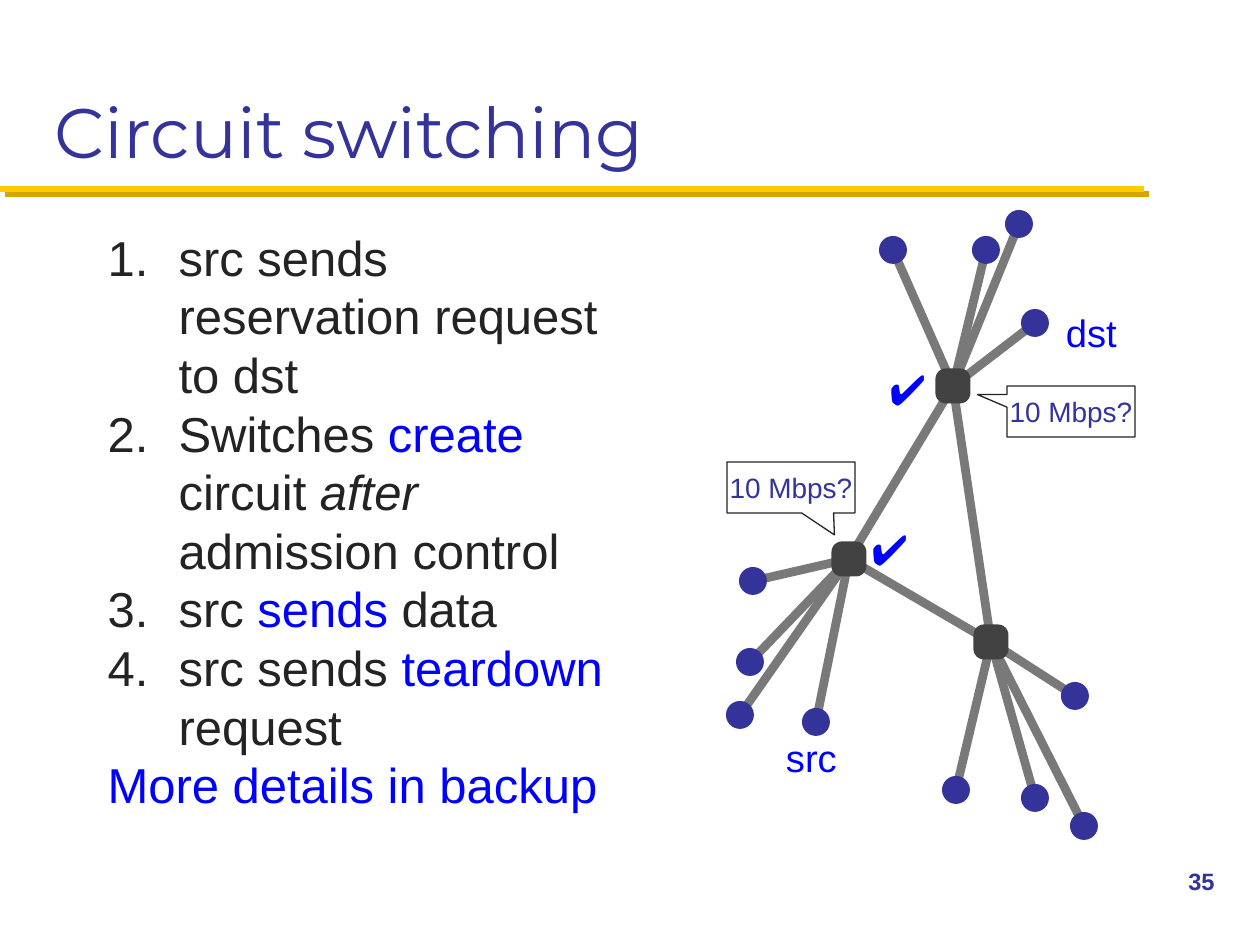
import pptx
import pptx.dml.color
import pptx.enum.shapes
import pptx.enum.text
import pptx.oxml
import pptx.oxml.ns
import pptx.util

EMU_PER_PX = 914400 / 126
COLORS = {
    "navy": "333399", "blue": "0000FF", "ink": "232323", "gold": "FFCB05",
    "dark_gold": "D3A600", "link": "797979", "switch": "424242",
}
SHAPES = pptx.enum.shapes.MSO_SHAPE
ANCHORS = pptx.enum.text.MSO_ANCHOR
FITS = pptx.enum.text.MSO_AUTO_SIZE
ALIGNS = pptx.enum.text.PP_ALIGN

SWITCHES = {"top": (953, 386), "left": (849, 559), "right": (991, 642)}
HOSTS = {
    "top": [(893, 250), (986, 250), (1019, 224), (1035, 323)],
    "left": [(753, 581), (750, 662), (740, 715), (816, 722)],
    "right": [(956, 790), (1035, 798), (1084, 826), (1075, 696)],
}
TRUNKS = [("left", "top"), ("left", "right"), ("top", "right")]
STEPS = [
    [("src sends reservation request to dst", {})],
    [("Switches ", {}), ("create", {"color": "blue"}), (" circuit ", {}),
     ("after", {"italic": True}), (" admission control", {})],
    [("src ", {}), ("sends", {"color": "blue"}), (" data", {})],
    [("src sends ", {}), ("teardown", {"color": "blue"}), (" request", {})],
]


def px(length):
    """Turn pixels into EMU."""
    return pptx.util.Emu(round(length * EMU_PER_PX))


def rgb(name):
    """Look up a named colour."""
    return pptx.dml.color.RGBColor.from_string(COLORS[name])


def add_span(para, text, size=28, color="ink", font="Arial", bold=False, italic=False):
    """Append formatted text to a paragraph."""
    span = para.add_run()
    span.text = text
    span.font.name = font
    span.font.size = pptx.util.Pt(size)
    span.font.bold = bold
    span.font.italic = italic
    span.font.color.rgb = rgb(color)


def set_bounds(shape, left, top, width, height):
    """Place a shape by its pixel bounds."""
    shape.left, shape.top = px(left), px(top)
    shape.width, shape.height = px(width), px(height)


def add_line(page, start, end, color, width, shadow=None):
    """Draw a straight line, optionally with a hard diagonal shadow."""
    line = page.shapes.add_connector(
        pptx.enum.shapes.MSO_CONNECTOR.STRAIGHT, *map(px, start + end))
    line.line.color.rgb = rgb(color)
    line.line.width = pptx.util.Pt(width)
    effects = pptx.oxml.parse_xml(f'<a:effectLst {pptx.oxml.ns.nsdecls("a")}/>')
    if shadow:
        effects.append(pptx.oxml.parse_xml(
            f'<a:outerShdw {pptx.oxml.ns.nsdecls("a")} dist="53340" dir="2700000" '
            f'algn="ctr" rotWithShape="0"><a:srgbClr val="{COLORS[shadow]}"/></a:outerShdw>'))
    line.element.spPr.append(effects)


def add_node(page, kind, center, size, color):
    """Draw a filled network node around its centre."""
    x, y = center
    node = page.shapes.add_shape(
        kind, px(x - size / 2), px(y - size / 2), px(size), px(size))
    node.shadow.inherit = False
    node.fill.solid()
    node.fill.fore_color.rgb = rgb(color)
    node.line.fill.background()
    return node


def add_label(page, text, bounds, margin=None, anchor=ANCHORS.TOP, **style):
    """Add an unwrapped text label."""
    box = page.shapes.add_textbox(*map(px, bounds))
    frame = box.text_frame
    frame.word_wrap = False
    frame.auto_size = FITS.SHAPE_TO_FIT_TEXT
    frame.vertical_anchor = anchor
    if margin is not None:
        frame.margin_left = frame.margin_right = px(margin)
        frame.margin_top = frame.margin_bottom = px(margin)
    add_span(frame.paragraphs[0], text, **style)


def add_callout(page, text, left, top, tip):
    """Add an outlined callout whose tip is relative to its centre."""
    callout = page.shapes.add_shape(
        SHAPES.RECTANGULAR_CALLOUT, px(left), px(top), px(128), px(51))
    callout.adjustments[0], callout.adjustments[1] = tip
    callout.shadow.inherit = False
    callout.fill.background()
    callout.line.color.rgb = rgb("ink")
    callout.line.width = pptx.util.Pt(0.75)
    frame = callout.text_frame
    frame.word_wrap = False
    frame.vertical_anchor = ANCHORS.MIDDLE
    frame.paragraphs[0].alignment = ALIGNS.CENTER
    add_span(frame.paragraphs[0], text, size=16, color="navy")


def set_bullet(para, tag, indent, **attributes):
    """Give a paragraph its list marker and hanging indent."""
    properties = para._p.get_or_add_pPr()
    properties.set("marL", str(px(indent)))
    properties.set("indent", str(-px(indent)))
    bullet = pptx.oxml.parse_xml(f'<a:{tag} {pptx.oxml.ns.nsdecls("a")}/>')
    for name, value in attributes.items():
        bullet.set(name, value)
    properties.append(bullet)


def fill_title(title):
    """Fill the title placeholder."""
    set_bounds(title, 42, 21, 1176, 158)
    frame = title.text_frame
    frame.auto_size = FITS.NONE
    frame.vertical_anchor = ANCHORS.BOTTOM
    frame.paragraphs[0].alignment = ALIGNS.LEFT
    add_span(frame.paragraphs[0], "Circuit switching",
             size=40, color="navy", font="Montserrat")


def fill_body(body):
    """Fill the body placeholder with the numbered steps and closing line."""
    set_bounds(body, 95, 221, 535, 609)
    frame = body.text_frame
    frame.auto_size = FITS.NONE
    closing = [("More details in backup", {"color": "blue"})]
    for index, spans in enumerate(STEPS + [closing]):
        para = frame.add_paragraph() if index else frame.paragraphs[0]
        if spans is closing:
            set_bullet(para, "buNone", 0)
        else:
            set_bullet(para, "buAutoNum", 71, type="arabicPeriod")
        para.line_spacing = pptx.util.Pt(33.5)
        para.space_before = pptx.util.Pt(0)
        for text, style in spans:
            add_span(para, text, **style)


def add_network(page):
    """Draw links first, then hosts and switches over them."""
    links = [(SWITCHES[a], SWITCHES[b]) for a, b in TRUNKS]
    links += [(host, SWITCHES[name]) for name, hosts in HOSTS.items() for host in hosts]
    for start, end in links:
        add_line(page, start, end, "link", 5)
    for hosts in HOSTS.values():
        for host in hosts:
            add_node(page, SHAPES.OVAL, host, 28, "navy")
    for center in SWITCHES.values():
        switch = add_node(page, SHAPES.ROUNDED_RECTANGLE, center, 35, "switch")
        switch.adjustments[0] = 0.3


def main():
    """Build and save the deck."""
    deck = pptx.Presentation()
    deck.slide_width, deck.slide_height = px(1260), px(945)
    page = deck.slides.add_slide(deck.slide_layouts[1])
    add_line(page, (0, 189), (1144, 189), "gold", 3.5, shadow="dark_gold")
    fill_title(page.shapes.title)
    fill_body(page.placeholders[1])
    add_label(page, "35", (1176, 861, 84, 63), size=13.5, color="navy", bold=True)
    add_network(page)
    for text, left, top in [("dst", 1061, 304), ("src", 781, 729)]:
        add_label(page, text, (left, top, 62, 57), margin=5,
                  anchor=ANCHORS.MIDDLE, size=21.8, color="blue")
    for left, top, tip in [(727, 462, (0.34, 0.93)), (1007, 386, (-0.73, -0.33))]:
        add_callout(page, "10 Mbps?", left, top, tip)
    for left, top in [(859, 517), (877, 357)]:
        add_label(page, "✔️", (left, top, 68, 63), size=24, color="blue", font="Calibri")
    deck.save("out.pptx")


if __name__ == "__main__":
    main()
